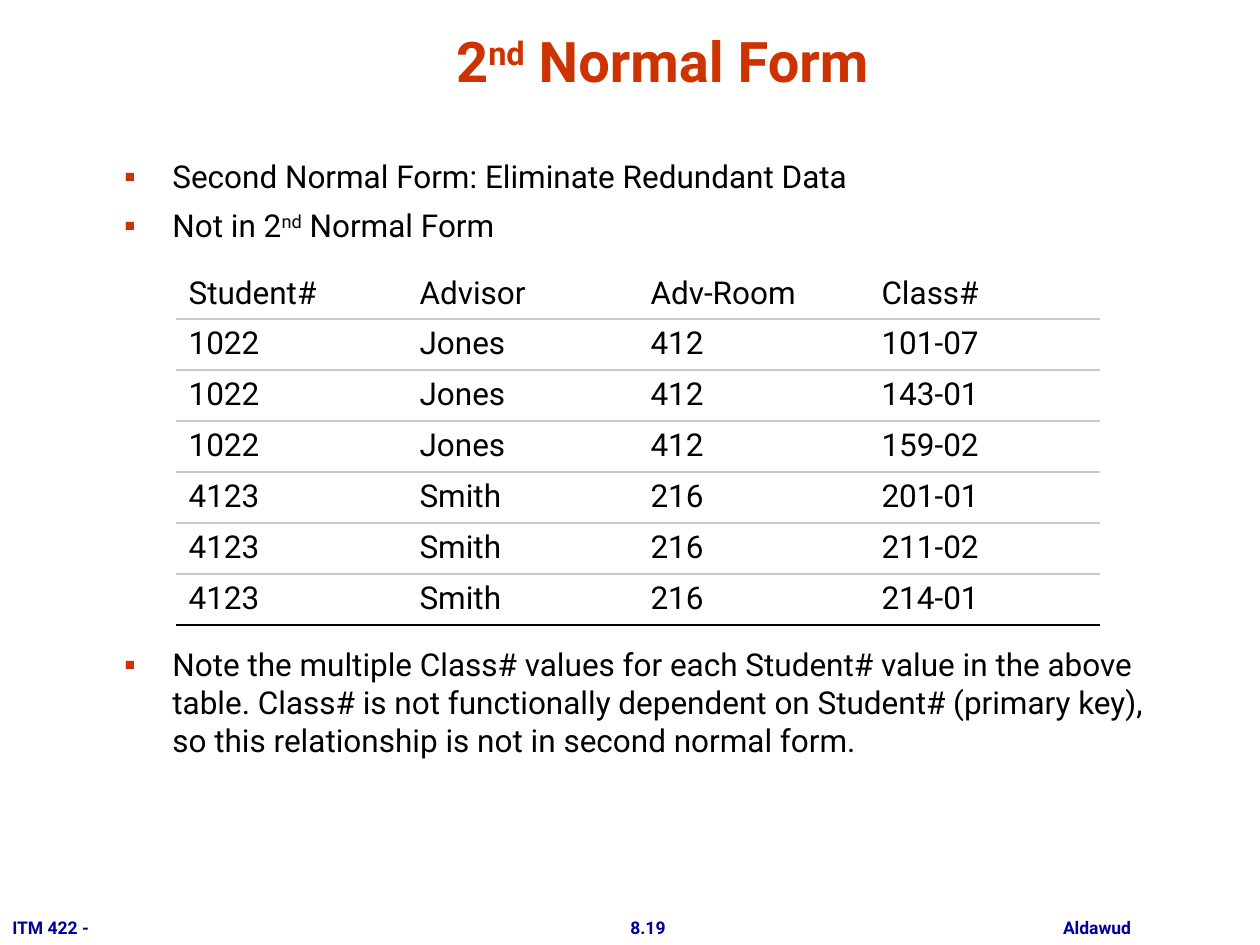
from dataclasses import dataclass
from lxml.etree import SubElement
from pptx import Presentation
from pptx.dml.color import RGBColor
from pptx.enum.text import MSO_ANCHOR, MSO_AUTO_SIZE, PP_ALIGN
from pptx.oxml.ns import qn
from pptx.util import Pt

SCALE = 914400 / 126


@dataclass(frozen=True)
class Theme:
    font: str = "Roboto"
    title: str = "CC3300"
    text: str = "000000"
    foot: str = "000099"
    rule: str = "C9C9C9"
    big: int = 32
    body: int = 18
    small: int = 10


THEME = Theme()
HEAD = ["Student#", "Advisor", "Adv-Room", "Class#"]
GROUPS = [
    (["1022", "Jones", "412"], ["101-07", "143-01", "159-02"]),
    (["4123", "Smith", "216"], ["201-01", "211-02", "214-01"]),
]
NOTE = (
    "Note the multiple Class# values for each Student# value in the above table. "
    "Class# is not functionally dependent on Student# (primary key), "
    "so this relationship is not in second normal form."
)
POINTS = [
    (["Second Normal Form: Eliminate Redundant Data"], 6.5),
    (["Not in 2", "nd", " Normal Form"], 6.5),
    ([NOTE], 229),
]
FEET = [
    ("ITM 422 -", 0, 106, PP_ALIGN.LEFT),
    ("8.19", 617, 62, PP_ALIGN.CENTER),
    ("Aldawud", 1047, 100, PP_ALIGN.CENTER),
]


def px(n):
    return round(n * SCALE)


def assign(item, values):
    for name, value in values.items():
        setattr(item, name, value)


def place(shape, left, top, width, height):
    spots = dict(left=left, top=top, width=width, height=height)
    assign(shape, {name: px(n) for name, n in spots.items()})


def write(para, parts, size, color, bold=False):
    for i, part in enumerate(parts):
        run = para.add_run()
        run.text = part
        assign(run.font, dict(name=THEME.font, size=Pt(size), bold=bold))
        run.font.color.rgb = RGBColor.from_string(color)
        if i % 2:
            run.font._element.set("baseline", "30000")


def bullet(para):
    props = para._p.get_or_add_pPr()
    props.set("marL", str(px(48)))
    props.set("indent", str(px(-48)))
    tint = SubElement(props, qn("a:buClr"))
    SubElement(tint, qn("a:srgbClr"), val=THEME.title)
    SubElement(props, qn("a:buSzPct"), val="90000")
    SubElement(props, qn("a:buFont"), typeface=THEME.font)
    SubElement(props, qn("a:buChar"), char="▪")


def edge(cell, side, color):
    line = SubElement(cell._tc.get_or_add_tcPr(), qn("a:ln" + side), w=str(Pt(0.75)))
    if color:
        fill = SubElement(line, qn("a:solidFill"))
        SubElement(fill, qn("a:srgbClr"), val=color)
    else:
        SubElement(line, qn("a:noFill"))


def add_title(slide):
    title = slide.shapes.title
    place(title, 106, 16, 1113, 84)
    assign(title.text_frame, dict(
        vertical_anchor=MSO_ANCHOR.BOTTOM, auto_size=MSO_AUTO_SIZE.NONE, word_wrap=True))
    para = title.text_frame.paragraphs[0]
    para.alignment = PP_ALIGN.CENTER
    write(para, ["2", "nd", " Normal Form"], THEME.big, THEME.title, True)


def add_points(slide):
    box = slide.shapes.add_textbox(0, 0, 0, 0)
    place(box, 112, 151, 1056, 675)
    frame = box.text_frame
    frame.word_wrap = True
    for i, (parts, gap) in enumerate(POINTS):
        para = frame.add_paragraph() if i else frame.paragraphs[0]
        para.space_before = Pt(gap)
        bullet(para)
        write(para, parts, THEME.body, THEME.text)


def add_grid(slide):
    rows = [HEAD] + [base + [code] for base, codes in GROUPS for code in codes]
    last = len(rows) - 1
    table = slide.shapes.add_table(
        len(rows), len(HEAD), px(176), px(268), px(924), px(51 * len(rows))).table
    assign(table, dict(first_row=False, horz_banding=False))
    for r, row in enumerate(rows):
        for c, word in enumerate(row):
            cell = table.cell(r, c)
            sides = dict(
                L=None, R=None, T=THEME.rule if r else None,
                B=THEME.text if r == last else THEME.rule)
            for side, color in sides.items():
                edge(cell, side, color)
            cell.fill.background()
            cell.vertical_anchor = MSO_ANCHOR.TOP if r else MSO_ANCHOR.MIDDLE
            write(cell.text_frame.paragraphs[0], [word], THEME.body, THEME.text)


def add_foot(slide, word, left, width, align):
    box = slide.shapes.add_textbox(0, 0, 0, 0)
    place(box, left, 911, width, 34)
    box.text_frame.word_wrap = False
    para = box.text_frame.paragraphs[0]
    para.alignment = align
    write(para, [word], THEME.small, THEME.foot, True)


def main():
    deck = Presentation()
    assign(deck, dict(slide_width=px(1260), slide_height=px(945)))
    slide = deck.slides.add_slide(deck.slide_layouts[5])
    for foot in FEET:
        add_foot(slide, *foot)
    add_title(slide)
    add_points(slide)
    add_grid(slide)
    deck.save("out.pptx")


if __name__ == "__main__":
    main()
